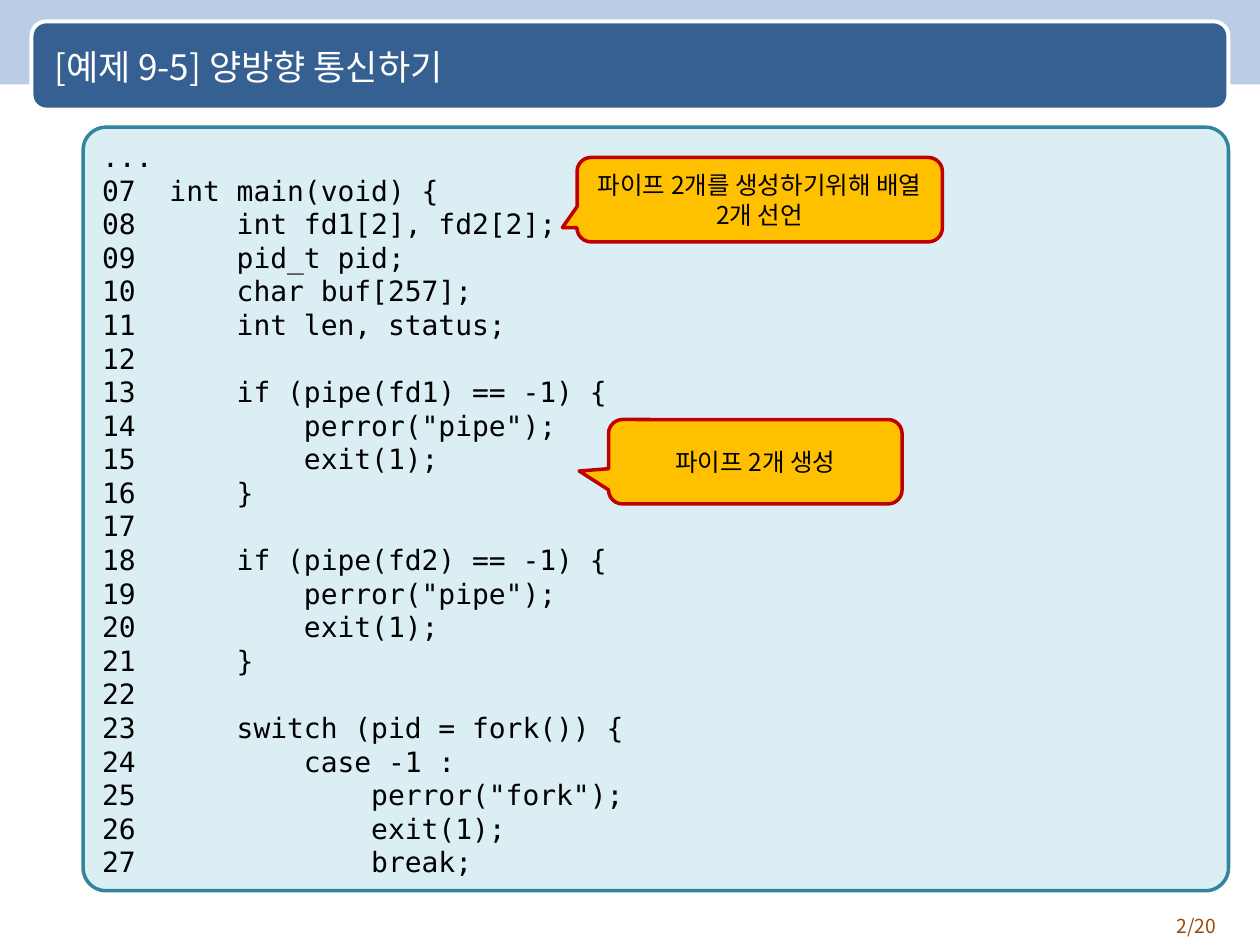
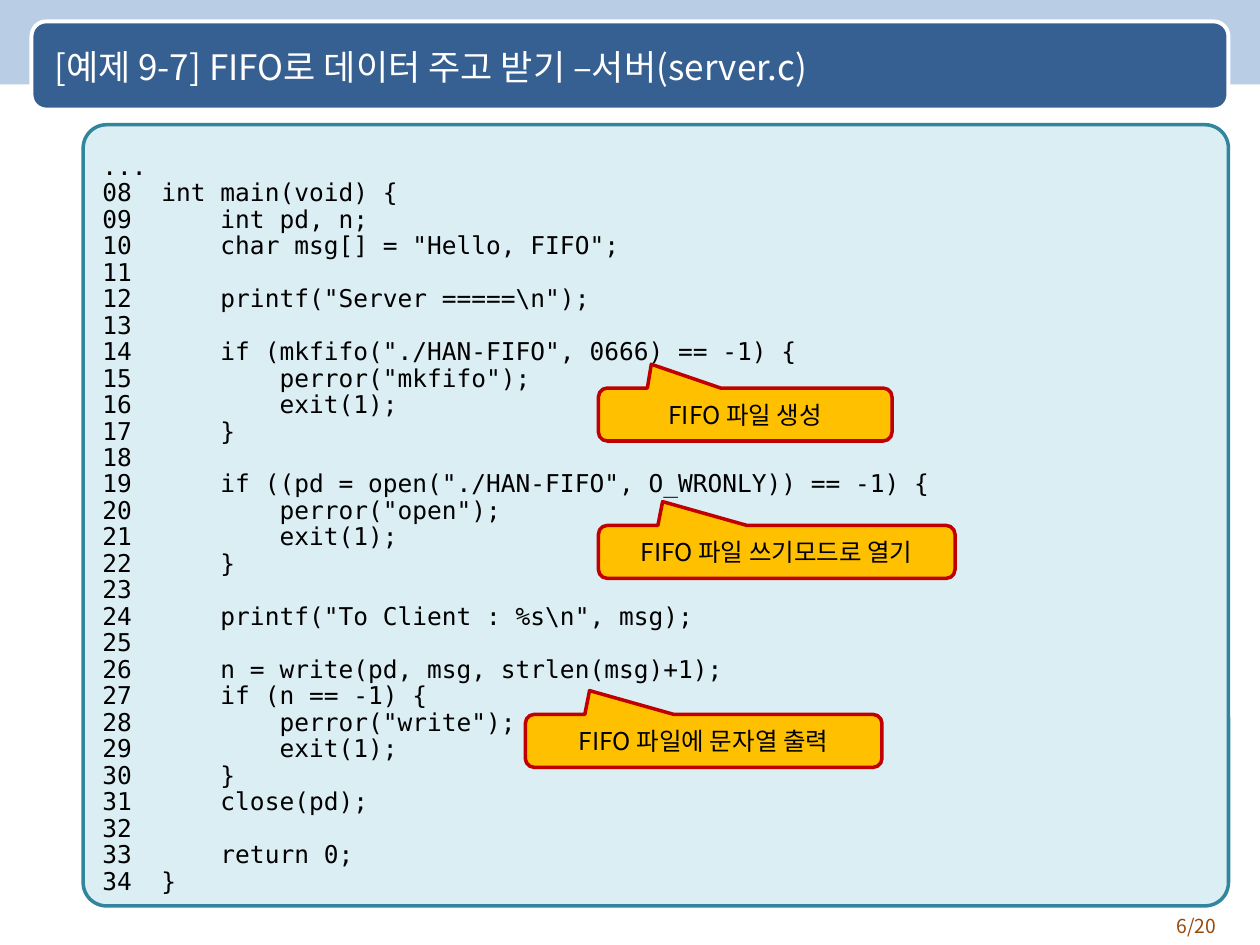
from lxml import etree
from pptx import Presentation
from pptx import util as u
from pptx.dml.color import RGBColor
from pptx.enum import shapes, text
from pptx.oxml import ns

COLORS = {
    "band": "B9CDE5", "title_bar": "376092", "white": "FFFFFF",
    "page": "984807", "panel": "DBEEF4", "panel_line": "31859C",
    "callout": "FFC000", "callout_line": "C00000", "black": "000000",
}
KOREAN, MONO = "Noto Sans CJK KR", "DejaVu Sans Mono"
TITLE_BOX = (0.33, 0.19, 9.25, 0.67)
PAGE_BOX = (8.92, 7.21, 0.83, 0.29)
PAGE_COUNT = 20

PIPE_CODE = r'''int main(void) {
    int fd1[2], fd2[2];
    pid_t pid;
    char buf[257];
    int len, status;

    if (pipe(fd1) == -1) {
        perror("pipe");
        exit(1);
    }

    if (pipe(fd2) == -1) {
        perror("pipe");
        exit(1);
    }

    switch (pid = fork()) {
        case -1 :
            perror("fork");
            exit(1);
            break;'''

SERVER_CODE = r'''int main(void) {
    int pd, n;
    char msg[] = "Hello, FIFO";

    printf("Server =====\n");

    if (mkfifo("./HAN-FIFO", 0666) == -1) {
        perror("mkfifo");
        exit(1);
    }

    if ((pd = open("./HAN-FIFO", O_WRONLY)) == -1) {
        perror("open");
        exit(1);
    }

    printf("To Client : %s\n", msg);

    n = write(pd, msg, strlen(msg)+1);
    if (n == -1) {
        perror("write");
        exit(1);
    }
    close(pd);

    return 0;
}'''

SLIDES = [
    {
        "title": "[예제 9-5] 양방향 통신하기", "page": 2,
        "panel": (0.66, 1.01, 9.09, 6.06), "top_inset": 0.05,
        "code": PIPE_CODE, "first_line": 7, "size": 16, "spacing": 1.0,
        "callouts": [
            ("파이프 2개를 생성하기위해 배열2개 선언", (4.58, 1.25, 2.9, 0.67), (-0.54, 0.33)),
            ("파이프 2개 생성", (4.83, 3.33, 2.33, 0.67), (-0.6, 0.11)),
        ],
    },
    {
        "title": "[예제 9-7] FIFO로 데이터 주고 받기 –서버(server.c)", "page": 6,
        "panel": (0.66, 0.99, 9.09, 6.2), "top_inset": 0.2,
        "code": SERVER_CODE, "first_line": 8, "size": 14, "spacing": 0.9,
        "callouts": [
            ("FIFO 파일 생성", (4.75, 3.08, 2.33, 0.42), (-0.32, -0.95)),
            ("FIFO 파일 쓰기모드로 열기", (4.75, 4.17, 2.83, 0.42), (-0.32, -0.95)),
            ("FIFO 파일에 문자열 출력", (4.17, 5.67, 2.83, 0.42), (-0.32, -0.95)),
        ],
    },
]


def rgb(name):
    return RGBColor.from_string(COLORS[name])


def inches(box):
    return [u.Inches(v) for v in box]


def add_box(s, kind, box, fill, line=None, width=2, adjustments=()):
    sp = s.shapes.add_shape(kind, *inches(box))
    sp.shadow.inherit = False
    sp.fill.solid()
    sp.fill.fore_color.rgb = rgb(fill)
    if line:
        sp.line.color.rgb = rgb(line)
        sp.line.width = u.Pt(width)
    else:
        sp.line.fill.background()
    for i, value in enumerate(adjustments):
        sp.adjustments[i] = value
    return sp


def write(sp, lines, size, font, color, align, spacing=1.0,
          anchor=text.MSO_ANCHOR.MIDDLE):
    tf = sp.text_frame
    tf.word_wrap = True
    tf.auto_size = text.MSO_AUTO_SIZE.NONE
    tf.vertical_anchor = anchor
    for i, line in enumerate(lines):
        p = tf.add_paragraph() if i else tf.paragraphs[0]
        p.alignment = align
        p.line_spacing = spacing
        r = p.add_run()
        r.text = line
        r.font.size = u.Pt(size)
        r.font.color.rgb = rgb(color)
        r.font.name = font
        ea = etree.SubElement(r.font._element, ns.qn("a:ea"))
        ea.set("typeface", font)


def add_frame(s, title, page):
    kinds = shapes.MSO_SHAPE
    add_box(s, kinds.RECTANGLE, (-0.01, 0, 10.02, 0.67), "band")
    add_box(s, kinds.ROUNDED_RECTANGLE, (0.25, 0.17, 9.5, 0.7),
            "title_bar", "white", 2.25)
    number = s.shapes.add_textbox(*inches(PAGE_BOX))
    write(number, [f"{page}/{PAGE_COUNT}"], 11, KOREAN, "page",
          text.PP_ALIGN.RIGHT, anchor=text.MSO_ANCHOR.TOP)
    sp = s.shapes.title
    sp.left, sp.top, sp.width, sp.height = inches(TITLE_BOX)
    write(sp, [title], 20, KOREAN, "white", text.PP_ALIGN.LEFT)
    s.shapes._spTree.append(sp._element)


def add_code(s, item):
    panel = add_box(s, shapes.MSO_SHAPE.ROUNDED_RECTANGLE, item["panel"],
                    "panel", "panel_line", adjustments=[0.03])
    panel.text_frame.margin_top = u.Inches(item["top_inset"])
    numbered = enumerate(item["code"].split("\n"), item["first_line"])
    lines = ["..."] + [f"{n:02}  {line}".rstrip() for n, line in numbered]
    write(panel, lines, item["size"], MONO, "black",
          text.PP_ALIGN.JUSTIFY, item["spacing"])


def main():
    prs = Presentation()
    prs.slide_width, prs.slide_height = u.Inches(10), u.Inches(7.5)
    for item in SLIDES:
        s = prs.slides.add_slide(prs.slide_layouts[5])
        add_frame(s, item["title"], item["page"])
        add_code(s, item)
        for label, box, pointer in item["callouts"]:
            sp = add_box(s, shapes.MSO_SHAPE.ROUNDED_RECTANGULAR_CALLOUT, box,
                         "callout", "callout_line", adjustments=pointer)
            write(sp, [label], 14, KOREAN, "black", text.PP_ALIGN.CENTER)
    prs.save("out.pptx")


if __name__ == "__main__":
    main()
